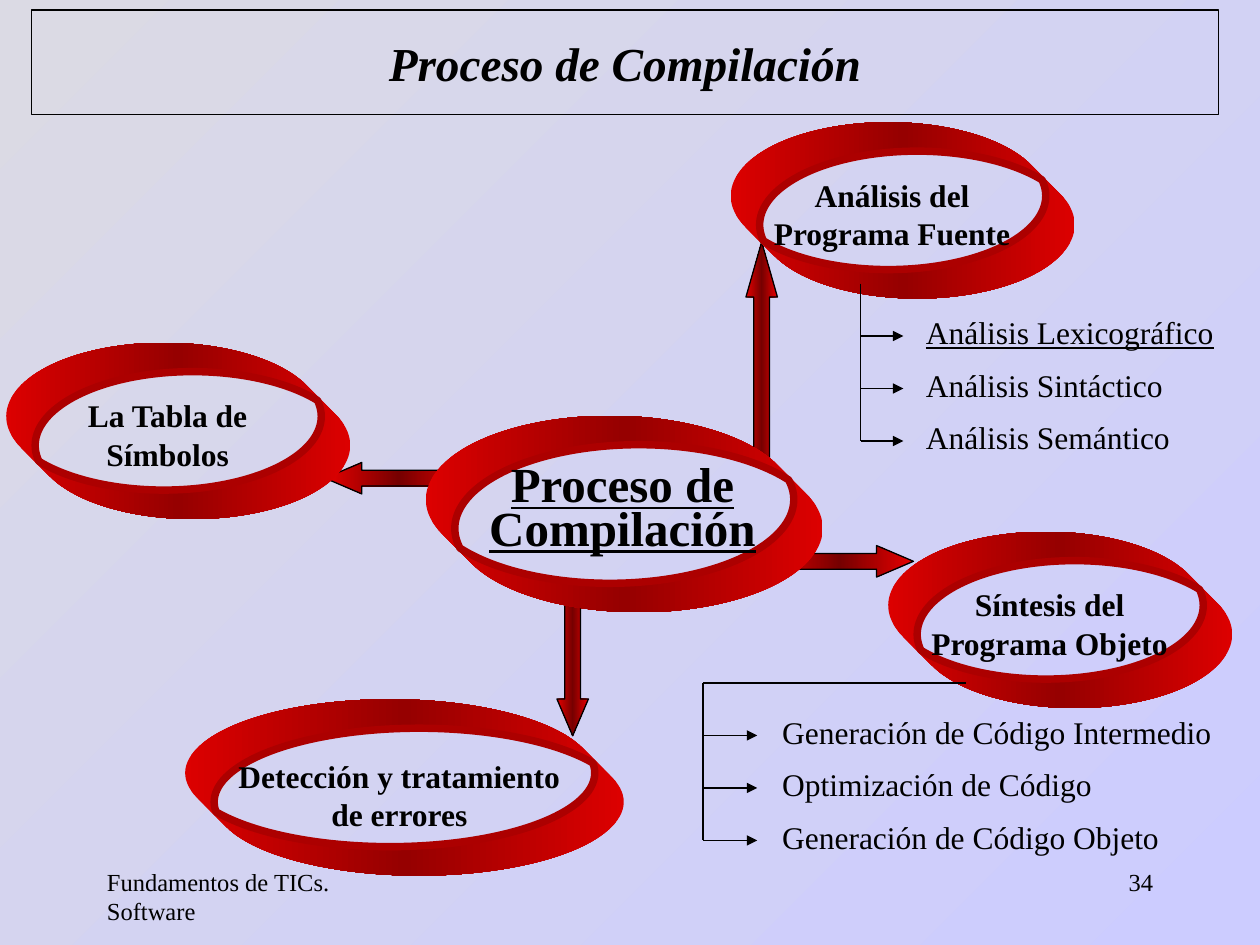
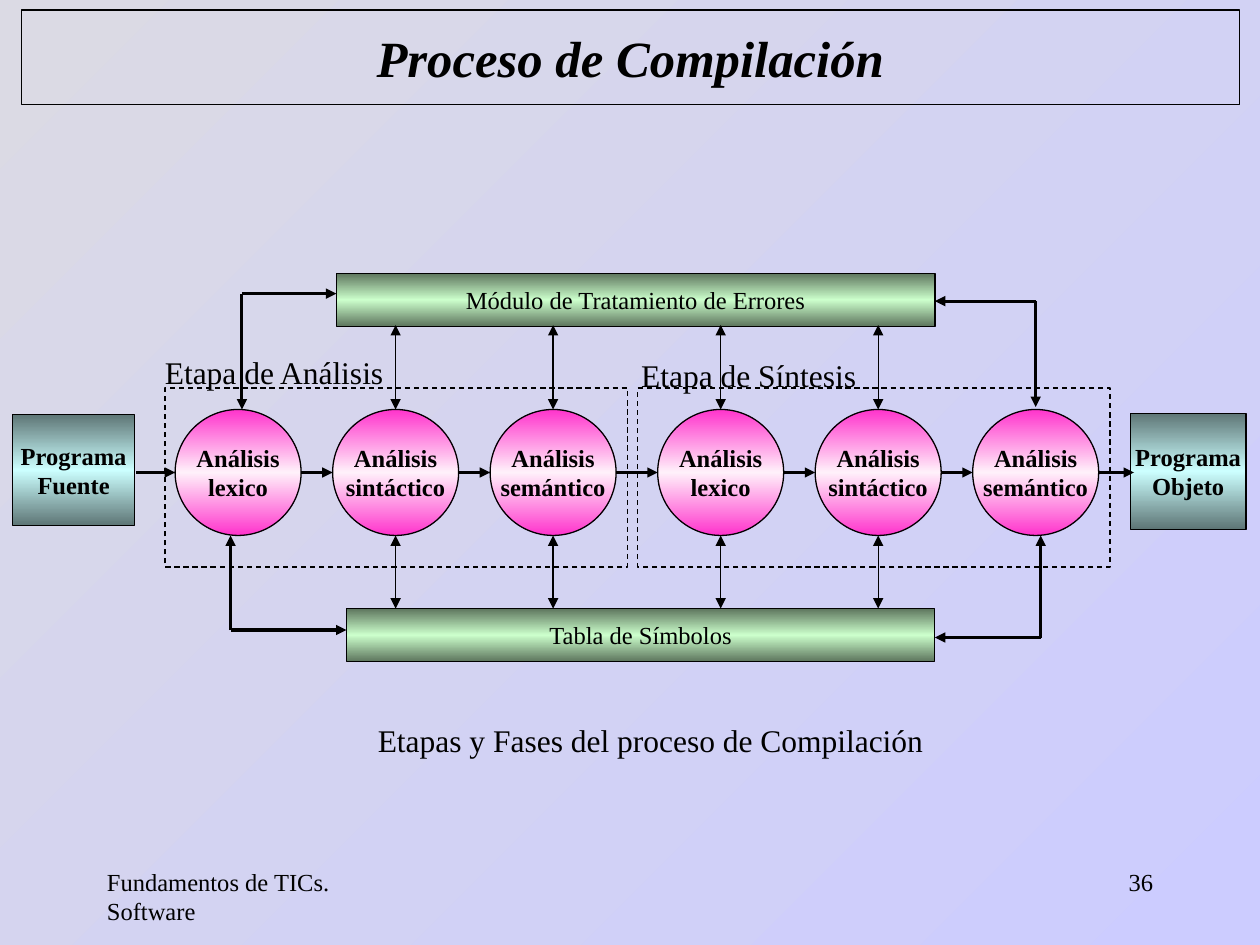
import math

from lxml import etree
from pptx import Presentation
from pptx.dml.color import RGBColor
from pptx.enum import dml, shapes, text
from pptx.oxml.ns import qn
from pptx.util import Inches, Pt

FONT = "Times New Roman"
BLACK = RGBColor(0x00, 0x00, 0x00)
RIM = RGBColor(0xAC, 0x00, 0x00)
BACKGROUND = [RGBColor(0xDB, 0xDA, 0xE4), RGBColor(0xCC, 0xCC, 0xFF)]
ARROW = [RGBColor(0xE6, 0x00, 0x00), RGBColor(0x76, 0x00, 0x00), RGBColor(0xE6, 0x00, 0x00)]
RING = [RGBColor(0xDC, 0x00, 0x00), RGBColor(0x96, 0x00, 0x00), RGBColor(0xDC, 0x00, 0x00)]
GREEN = [RGBColor(0x5E, 0x76, 0x5E), RGBColor(0xCC, 0xFF, 0xCC), RGBColor(0x5E, 0x76, 0x5E)]
TEAL = [RGBColor(0x5E, 0x76, 0x76), RGBColor(0xCC, 0xFF, 0xFF), RGBColor(0x5E, 0x76, 0x76)]
PINK = [RGBColor(0xFF, 0x33, 0xCC), RGBColor(0xFF, 0xF1, 0xFA), RGBColor(0xFF, 0x33, 0xCC)]
SHAPE = shapes.MSO_SHAPE
CENTER = text.PP_ALIGN.CENTER
THIN, THICK = 0.75, 1.75
RING_DEPTH = 0.23
TITLE = "Proceso de Compilación"


def paint_gradient(fill, element, colours, angle):
    """Fill with evenly spaced colours; the angle runs clockwise."""
    fill.gradient()
    fill.gradient_angle = (360 - angle) % 360
    stops = next(element.iter(qn("a:gsLst")))
    for stop in list(stops):
        stops.remove(stop)
    for index, colour in enumerate(colours):
        position = str(round(100000 * index / (len(colours) - 1)))
        stop = etree.SubElement(stops, qn("a:gs"), pos=position)
        etree.SubElement(stop, qn("a:srgbClr"), val=str(colour))


def write(shape, content, size=18, bold=False, italic=False, underline=False,
          align=text.PP_ALIGN.LEFT, anchor=text.MSO_ANCHOR.TOP, wrap=True, spacing=None):
    frame = shape.text_frame
    frame.word_wrap = wrap
    frame.vertical_anchor = anchor
    frame.text = content
    for paragraph in frame.paragraphs:
        paragraph.alignment = align
        if spacing:
            paragraph.line_spacing = Pt(spacing)
        font = paragraph.font
        font.name, font.size, font.color.rgb = FONT, Pt(size), BLACK
        font.bold, font.italic, font.underline = bold, italic, underline


def add_text(slide, left, top, width, height, content, **style):
    box = slide.shapes.add_textbox(Inches(left), Inches(top), Inches(width), Inches(height))
    write(box, content, **style)


def add_figure(slide, kind, left, top, width, height, colours=None, angle=90):
    shape = slide.shapes.add_shape(kind, Inches(left), Inches(top), Inches(width), Inches(height))
    shape.shadow.inherit = False
    shape.line.color.rgb, shape.line.width = BLACK, Pt(THIN)
    if colours:
        paint_gradient(shape.fill, shape.element, colours, angle)
    else:
        shape.fill.background()
    return shape


def add_labelled(slide, kind, left, top, width, height, colours, content, bold=False):
    shape = add_figure(slide, kind, left, top, width, height, colours)
    write(shape, content, size=14, bold=bold, align=CENTER,
          anchor=text.MSO_ANCHOR.MIDDLE, wrap=False)


def add_line(slide, start, end, width=THIN, head=False, tail=False):
    connector = slide.shapes.add_connector(
        shapes.MSO_CONNECTOR.STRAIGHT, *map(Inches, (*start, *end)))
    connector.line.color.rgb, connector.line.width = BLACK, Pt(width)
    line = connector.line._get_or_add_ln()
    for tag, wanted in (("a:headEnd", head), ("a:tailEnd", tail)):
        if wanted:
            etree.SubElement(line, qn(tag), type="triangle")
    etree.SubElement(connector.element.spPr, qn("a:effectLst"))


def start_slide(presentation, number, title_box, title_size):
    slide = presentation.slides.add_slide(presentation.slide_layouts[6])
    paint_gradient(slide.background.fill, slide.element, BACKGROUND, 45)
    add_text(slide, 0.75, 6.83, 2.08, 0.5, "Fundamentos de TICs. Software", size=14)
    add_text(slide, 7.17, 6.83, 2.08, 0.5, str(number), size=14, align=text.PP_ALIGN.RIGHT)
    title = add_figure(slide, SHAPE.RECTANGLE, *title_box)
    write(title, TITLE, size=title_size, bold=True, italic=True, align=CENTER,
          anchor=text.MSO_ANCHOR.MIDDLE)
    return slide


def arc_curves(a, b, shift, middle, half):
    """Start point and two Bezier curves of an ellipse's arc, around angle middle."""
    def at(angle):
        return shift + a + a * math.cos(angle), shift + b + b * math.sin(angle)

    reach = 4 / 3 * math.tan(half / 4)
    curves = []
    for start, end in ((middle - half, middle), (middle, middle + half)):
        (x1, y1), (x2, y2) = at(start), at(end)
        curves.append([
            (x1 - reach * a * math.sin(start), y1 + reach * b * math.cos(start)),
            (x2 + reach * a * math.sin(end), y2 - reach * b * math.cos(end)),
            (x2, y2)])
    return at(middle - half), curves


def add_path_step(path, tag, points=()):
    step = etree.SubElement(path, qn(tag))
    for x, y in points:
        etree.SubElement(step, qn("a:pt"), x=str(Inches(x)), y=str(Inches(y)))


def add_curved_outline(slide, left, top, width, height, contours):
    """Freeform whose contours each join two arcs, relative to its corner."""
    builder = slide.shapes.build_freeform(Inches(left), Inches(top))
    builder.add_line_segments([(Inches(left + width), Inches(top + height))])
    shape = builder.convert_to_shape()
    shape.shadow.inherit = False
    path = next(shape.element.iter(qn("a:path")))
    for step in list(path):
        path.remove(step)
    for arcs in contours:
        for index, (start, curves) in enumerate(arcs):
            add_path_step(path, "a:lnTo" if index else "a:moveTo", [start])
            for curve in curves:
                add_path_step(path, "a:cubicBezTo", curve)
        add_path_step(path, "a:close")
    return shape


def add_ring(slide, left, top, width, height, content, text_box, **style):
    """Ellipse swept diagonally, with a caption; text_box is relative to its corner."""
    a, b = width / 2, height / 2
    sweep = math.atan2(1 / b, 1 / a)
    overlap = math.acos(RING_DEPTH * math.hypot(1 / a, 1 / b) / 2)
    outer = [arc_curves(a, b, RING_DEPTH, sweep, math.pi / 2),
             arc_curves(a, b, 0, sweep + math.pi, math.pi / 2)]
    inner = [arc_curves(a, b, 0, sweep, overlap),
             arc_curves(a, b, RING_DEPTH, sweep + math.pi, overlap)]
    box = (left - 0.2, top - 0.2, width + RING_DEPTH, height + RING_DEPTH)

    ring = add_curved_outline(slide, *box, [outer, inner])
    paint_gradient(ring.fill, ring.element, RING, 0)
    ring.line.fill.background()
    rim = add_curved_outline(slide, *box, [inner])
    rim.fill.background()
    rim.line.color.rgb, rim.line.width = RIM, Pt(4.25)
    dx, dy, text_width, text_height = text_box
    add_text(slide, left + dx, top + dy, text_width, text_height, content,
             **{"bold": True, "align": CENTER, "spacing": 22, **style})


def add_branch(slide, left, top, arrow, gap, width, items, underlined=None):
    """Vertical stem with one arrow and one label per item."""
    step = 1.25 / 3
    add_line(slide, (left, top), (left, top + 1.25))
    for index, item in enumerate(items, 1):
        y = top + index * step
        add_line(slide, (left, y), (left + arrow, y), tail=True)
        add_text(slide, left + gap, y - 0.23, width, 0.4, item, underline=item == underlined)


def build_overview(presentation):
    slide = start_slide(presentation, 34, (0.25, 0.08, 9.42, 0.83), 27)
    for kind, left, top, width, height in (
            (SHAPE.DOWN_ARROW, 4.42, 4.67, 0.25, 1.17),
            (SHAPE.UP_ARROW, 5.92, 1.92, 0.25, 1.75),
            (SHAPE.RIGHT_ARROW, 6.08, 4.33, 1.17, 0.25),
            (SHAPE.LEFT_ARROW, 2.58, 3.67, 1.17, 0.25)):
        arrow = add_figure(slide, kind, left, top, width, height, ARROW, angle=0)
        arrow.adjustments[0], arrow.adjustments[1] = 0.5, max(width, height)

    caption = (-0.08, 0.17, 2.32, 0.71)
    add_ring(slide, 6, 1.17, 2.5, 1.17, "Análisis del Programa Fuente", caption)
    add_ring(slide, 3.58, 3.5, 2.92, 1.33, TITLE, (0, 0.17, 2.72, 0.8),
             size=28, underline=True, spacing=25)
    add_ring(slide, 7.25, 4.42, 2.5, 1.17, "Síntesis del Programa Objeto", caption)
    add_ring(slide, 1.67, 5.75, 3.25, 1.17, "Detección y tratamiento de errores",
             (0.08, 0.2, 2.84, 0.71))
    add_ring(slide, 0.25, 2.92, 2.5, 1.17, "La Tabla de Símbolos", caption)

    lexical = "Análisis Lexicográfico"
    add_branch(slide, 6.83, 2.25, 0.34, 0.42, 3,
               [lexical, "Análisis Sintáctico", "Análisis Semántico"], lexical)
    add_branch(slide, 5.58, 5.42, 0.43, 0.53, 3.8,
               ["Generación de Código Intermedio", "Optimización de Código",
                "Generación de Código Objeto"])
    add_line(slide, (5.58, 5.42), (7.67, 5.42))


def add_stage(slide, left, top, width, first_phase, name, name_left, name_top):
    """Dashed frame with its name and three phases; returns the phases' left edges."""
    lefts = [first_phase + 1.25 * index for index in range(3)]
    for x, phase in zip(lefts, ("lexico", "sintáctico", "semántico")):
        add_labelled(slide, SHAPE.OVAL, x, top + 0.17, 1, 1, PINK, "Análisis\n" + phase, bold=True)
    frame = add_figure(slide, SHAPE.RECTANGLE, left, top, width, 1.42)
    frame.line.dash_style = dml.MSO_LINE.DASH
    add_text(slide, name_left, name_top, 2.75, 0.4, name)
    return lefts


def build_phases(presentation):
    slide = start_slide(presentation, 36, (0.17, 0.08, 9.67, 0.75), 29)
    box = SHAPE.RECTANGLE
    add_labelled(slide, box, 2.67, 2.17, 4.75, 0.42, GREEN, "Módulo de Tratamiento de Errores")
    add_labelled(slide, box, 2.75, 4.83, 4.67, 0.42, GREEN, "Tabla de Símbolos")
    add_labelled(slide, box, 0.1, 3.29, 0.97, 0.88, TEAL, "Programa\nFuente", bold=True)
    add_labelled(slide, box, 8.97, 3.28, 0.92, 0.92, TEAL, "Programa\nObjeto", bold=True)
    lefts = add_stage(slide, 1.31, 3.08, 3.67, 1.39, "Etapa de Análisis", 1.21, 2.75)
    lefts += add_stage(slide, 5.06, 3.08, 3.75, 5.22, "Etapa de Síntesis", 4.99, 2.78)

    for start, end in zip([1.08] + [x + 1 for x in lefts], lefts + [9]):
        add_line(slide, (start, 3.75), (end, 3.75), THICK, tail=True)
    for x in lefts[1:-1]:
        for bottom, top in ((3.25, 2.58), (4.83, 4.25)):
            add_line(slide, (x + 0.5, bottom), (x + 0.5, top), head=True, tail=True)
    for corner_x, corner_y, module_x, phase_y in (
            (1.92, 2.33, 2.67, 3.25), (8.22, 2.39, 7.42, 3.23),
            (1.83, 5, 2.75, 4.25), (8.26, 5.06, 7.42, 4.25)):
        corner = (corner_x, corner_y)
        add_line(slide, corner, (module_x, corner_y), THICK, tail=True)
        add_line(slide, corner, (corner_x, phase_y), THICK, tail=True)
    add_text(slide, 2.33, 5.67, 5.67, 0.4, "Etapas y Fases del proceso de Compilación", align=CENTER)


def main():
    presentation = Presentation()
    presentation.slide_width, presentation.slide_height = Inches(10), Inches(7.5)
    build_overview(presentation)
    build_phases(presentation)
    presentation.save("out.pptx")


if __name__ == "__main__":
    main()
